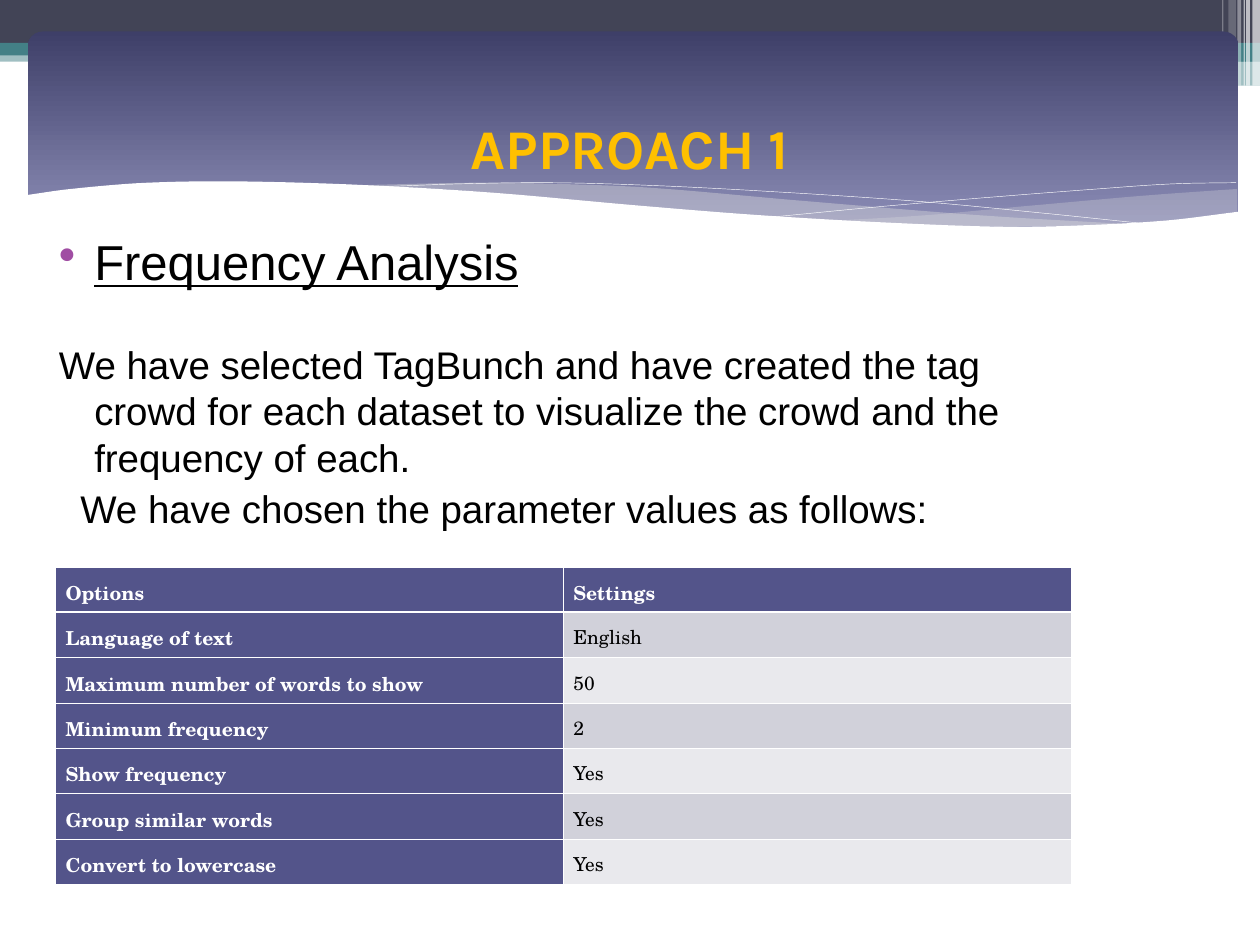
from lxml.etree import SubElement
from pptx import Presentation
from pptx.dml.color import RGBColor
from pptx.enum.shapes import MSO_SHAPE
from pptx.enum.text import MSO_ANCHOR, MSO_AUTO_SIZE, PP_ALIGN
from pptx.oxml.ns import qn
from pptx.util import Inches, Pt

COLORS = {
    "white": "FFFFFF", "black": "000000", "slate": "424456", "teal": "438086",
    "indigo": "53548A", "deep": "3E3F68", "lilac": "9394BE", "mist": "DEDEDE",
    "gold": "FFC000", "bullet": "A04DA3", "band_dark": "D1D1DA", "band_light": "E9E9ED",
}
BARS = [
    (0, 0.4, 10, 0.09, "teal", 50), (0, 0, 10, 0.34, "slate", 100),
    (0, 0.34, 10, 0.1, "teal", 100), (5.92, 0.39, 4.08, 0.1, "teal", 100),
    (5.92, 0.48, 4.08, 0.2, "teal", 50),
]
PILLS = [(5.91, 0.54, 3.35, 0.03), (8.06, 0.64, 1.75, 0.04)]
STRIPES = [
    (9.94, 0.06, 0.68, 65), (9.89, 0.03, 0.68, 65), (9.87, 0.01, 0.68, 60),
    (9.82, 0.03, 0.68, 40), (9.75, 0.06, 0.64, 20), (9.7, 0.01, 0.64, 30),
]
RIGHT_TOP = [(9.82, 1.5), (9.12, 1.55), (8.1, 1.64), (7.33, 1.71), (6.65, 1.75)]
RIGHT_BOTTOM = [(6.65, 1.75), (7.36, 1.79), (8.08, 1.8), (8.77, 1.79), (9.41, 1.74), (9.82, 1.68)]
MID_TOP = [(8.98, 1.78), (7.79, 1.71), (6.32, 1.59), (5.16, 1.49), (4.43, 1.46),
           (3.8, 1.45), (2.86, 1.47)]
MID_BOTTOM = [(2.86, 1.47), (3.63, 1.51), (4.51, 1.59), (5.69, 1.69), (6.84, 1.76),
              (7.89, 1.8), (8.98, 1.78)]
LONG_LINE = [(3.09, 1.48), (3.63, 1.46), (4.34, 1.45), (5.12, 1.47), (6.11, 1.52),
             (7.31, 1.6), (8.36, 1.7), (9.13, 1.78)]
SHORT_LINE = [(6.16, 1.72), (6.99, 1.64), (7.81, 1.57), (8.71, 1.5), (9.3, 1.46), (9.81, 1.45)]
EDGE = [(9.83, 1.68), (9.26, 1.75), (8.55, 1.79), (7.98, 1.8), (7.11, 1.77), (6.06, 1.71),
        (5.05, 1.63), (3.92, 1.53), (2.92, 1.47), (1.92, 1.44), (1.17, 1.45), (0.56, 1.5),
        (0.2, 1.55)]
ROWS = [
    ("Options", "Settings"), ("Language of text", "English"),
    ("Maximum number of words to show", "50"), ("Minimum frequency", "2"),
    ("Show frequency", "Yes"), ("Group similar words", "Yes"),
    ("Convert to lowercase", "Yes"),
]


def rgb(name):
    """Return the named colour."""
    return RGBColor.from_string(COLORS[name])


def paint(sp, color, opacity=100):
    """Fill a shape without outline or shadow, at an opacity in percent."""
    sp.shadow.inherit = False
    sp.line.fill.background()
    sp.fill.solid()
    sp.fill.fore_color.rgb = rgb(color)
    if opacity < 100:
        clr = sp._element.spPr.find(qn("a:solidFill"))[0]
        SubElement(clr, qn("a:alpha"), val=str(opacity * 1000))


def add_box(s, box, color, opacity=100, kind=MSO_SHAPE.RECTANGLE):
    """Add a plain filled preset shape."""
    sp = s.shapes.add_shape(kind, *map(Inches, box))
    paint(sp, color, opacity)
    return sp


def smooth(knots, steps=6):
    """Return points on a smooth curve through the knots."""
    last = len(knots) - 1
    slopes = []
    for i in range(last + 1):
        (xa, ya), (xb, yb) = knots[max(i - 1, 0)], knots[min(i + 1, last)]
        slopes.append((yb - ya) / (xb - xa))
    points = [knots[0]]
    for i in range(last):
        (xa, ya), (xb, yb) = knots[i], knots[i + 1]
        w = xb - xa
        for k in range(1, steps + 1):
            t = k / steps
            y = ((2 * t**3 - 3 * t**2 + 1) * ya + (3 * t**2 - 2 * t**3) * yb
                 + w * ((t**3 - 2 * t**2 + t) * slopes[i] + (t**3 - t**2) * slopes[i + 1]))
            points.append((xa + w * t, y))
    return points


def add_outline(s, points, close):
    """Add a freeform through points given in inches."""
    emu = [(Inches(x), Inches(y)) for x, y in points]
    builder = s.shapes.build_freeform(*emu[0])
    builder.add_line_segments(emu[1:], close=close)
    return builder.convert_to_shape()


def add_wave(s, points, color, opacity=100):
    """Add a filled wave."""
    paint(add_outline(s, points, True), color, opacity)


def add_wave_line(s, knots):
    """Add a thin white curve."""
    sp = add_outline(s, smooth(knots), False)
    sp.shadow.inherit = False
    sp.fill.background()
    sp.line.color.rgb = rgb("white")
    sp.line.width = Pt(0.25)


def add_banner(s):
    """Draw the top bars, the gradient panel and its waves."""
    for *box, color, opacity in BARS:
        add_box(s, box, color, opacity)
    for box in PILLS:
        add_box(s, box, "white", kind=MSO_SHAPE.ROUNDED_RECTANGLE)
    for x, w, h, opacity in STRIPES:
        add_box(s, (x, 0, w, h), "white", opacity)
    panel = add_box(s, (0.22, 0.25, 9.61, 1.69), "deep", kind=MSO_SHAPE.ROUNDED_RECTANGLE)
    panel.adjustments[0] = 0.07
    panel.fill.gradient()
    panel.fill.gradient_angle = 270
    for stop, color, position in zip(panel.fill.gradient_stops, ("deep", "lilac"), (0, 1)):
        stop.color.rgb = rgb(color)
        stop.position = position
    add_wave(s, smooth(RIGHT_TOP) + smooth(RIGHT_BOTTOM), "mist", 29)
    add_wave(s, smooth(MID_TOP) + smooth(MID_BOTTOM), "mist", 40)
    add_wave_line(s, LONG_LINE)
    add_wave_line(s, SHORT_LINE)
    add_wave(s, smooth(EDGE) + [(0.2, 2), (9.83, 2)], "white")


def format_runs(p, font, size, color, bold=False, underline=False):
    """Format every run of a paragraph."""
    for r in p.runs:
        r.font.name, r.font.size = font, Pt(size)
        r.font.bold, r.font.underline = bold, underline
        r.font.color.rgb = rgb(color)


def set_title(s, text):
    """Place the title in front of the banner."""
    title = s.shapes.title
    s.shapes._spTree.append(title._element)
    title.left, title.top, title.width, title.height = map(Inches, (0.5, 0.58, 9, 1.17))
    tf = title.text_frame
    tf.text = text
    tf.auto_size = MSO_AUTO_SIZE.NONE
    tf.vertical_anchor = MSO_ANCHOR.MIDDLE
    tf.paragraphs[0].alignment = PP_ALIGN.CENTER
    format_runs(tf.paragraphs[0], "Karla", 32, "gold", bold=True)


def add_paragraph(p, text, size, margin, indent, before=0, bullet=False):
    """Write one body paragraph with its indents and optional bullet."""
    p.text = text
    p.space_before = Pt(before)
    pPr = p._p.get_or_add_pPr()
    pPr.set("marL", str(Inches(margin)))
    pPr.set("indent", str(Inches(indent)))
    if bullet:
        clr = SubElement(pPr, qn("a:buClr"))
        SubElement(clr, qn("a:srgbClr"), val=COLORS["bullet"])
        SubElement(pPr, qn("a:buChar"), char="•")
    format_runs(p, "Arial", size, "black", underline=bullet)


def add_body(s):
    """Add the heading and the explanation."""
    tf = s.shapes.add_textbox(*map(Inches, (0.25, 1.79, 8.1, 2.6))).text_frame
    tf.word_wrap = True
    add_paragraph(tf.paragraphs[0], "Frequency Analysis", 28, 0.4, -0.28, bullet=True)
    add_paragraph(tf.add_paragraph(), "We have selected TagBunch and have created the tag crowd "
                  "for each dataset to visualize the crowd and the frequency of each.",
                  22, 0.4, -0.28, before=29)
    add_paragraph(tf.add_paragraph(), "We have chosen the parameter values as follows:",
                  22, 0.29, 0, before=3)


def set_borders(cell, widths):
    """Give a cell white borders with widths in points by side."""
    tcPr = cell._tc.get_or_add_tcPr()
    for side, width in widths.items():
        ln = SubElement(tcPr, qn("a:ln" + side), w=str(Pt(width)))
        fill = SubElement(ln, qn("a:solidFill"))
        SubElement(fill, qn("a:srgbClr"), val=COLORS["white"])


def add_options_table(s):
    """Add the table of options and settings."""
    box = map(Inches, (0.44, 4.5, 8.06, 0.36 * len(ROWS)))
    table = s.shapes.add_table(len(ROWS), 2, *box).table
    for i, row in enumerate(ROWS):
        for j, text in enumerate(row):
            cell = table.cell(i, j)
            head = i == 0 or j == 0
            set_borders(cell, {"L": 0.45, "R": 0.45, "T": 1.47 if i == 1 else 0.45,
                               "B": 1.47 if i == 0 else 0.45})
            cell.fill.solid()
            band = "band_dark" if i % 2 else "band_light"
            cell.fill.fore_color.rgb = rgb("indigo" if head else band)
            cell.margin_left = cell.margin_right = Inches(0.08)
            cell.text = text
            p = cell.text_frame.paragraphs[0]
            p.alignment = PP_ALIGN.JUSTIFY
            p.line_spacing = 1.15
            format_runs(p, "TeX Gyre Schola", 11, "white" if head else "black", bold=head)


def main():
    """Build and save the slide."""
    prs = Presentation()
    prs.slide_width, prs.slide_height = Inches(10), Inches(7.5)
    s = prs.slides.add_slide(prs.slide_layouts[5])
    add_banner(s)
    add_body(s)
    add_options_table(s)
    set_title(s, "APPROACH 1")
    prs.save("out.pptx")


if __name__ == "__main__":
    main()
